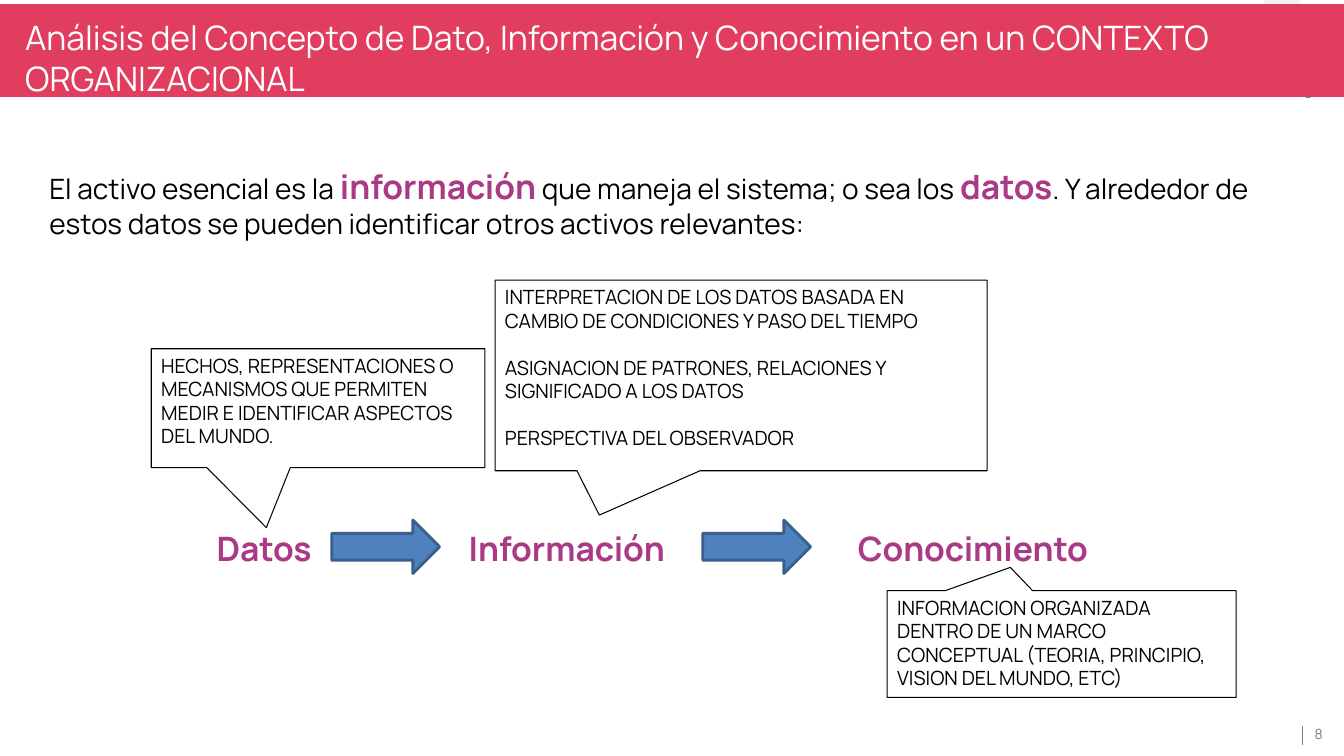
from pptx import Presentation, util as u
from pptx.dml.color import RGBColor
from pptx.enum import shapes, text

PX = 9144
FONT = "Manrope"
COLORS = {
    "band": "E13D5E", "white": "FFFFFF", "black": "000000", "accent": "AA3A86",
    "arrow": "4F81BD", "arrow_edge": "3A5F8C", "grey": "7F7F7F",
    "pale": "F2F2F2", "teal": "32AAAF",
}


def emu(*lengths):
    return [u.Emu(length * PX) for length in lengths]


def color(name):
    return RGBColor.from_string(COLORS[name])


def add_span(para, words, size, tone, bold=False):
    span = para.add_run()
    span.text = words
    span.font.name = FONT
    span.font.size = u.Pt(size)
    span.font.bold = bold
    span.font.color.rgb = color(tone)


def set_frame(frame, inset_x=10, inset_y=5, anchor=text.MSO_ANCHOR.TOP):
    frame.word_wrap = True
    frame.margin_left, frame.margin_right = emu(inset_x, inset_x)
    frame.margin_top, frame.margin_bottom = emu(inset_y, inset_y)
    frame.vertical_anchor = anchor


def add_text(page, box, spans, **frame_options):
    frame = page.shapes.add_textbox(*emu(*box)).text_frame
    set_frame(frame, **frame_options)
    for span in spans:
        add_span(frame.paragraphs[0], *span)
    return frame


def add_block(page, kind, box, fill, edge=None, width=1):
    block = page.shapes.add_shape(kind, *emu(*box))
    block.shadow.inherit = False
    block.fill.solid()
    block.fill.fore_color.rgb = color(fill)
    if edge:
        block.line.color.rgb = color(edge)
        block.line.width = u.Pt(width)
    else:
        block.line.fill.background()
    return block


def add_header(page, box):
    left, top, width, height = box
    preset = shapes.MSO_SHAPE
    add_block(page, preset.RECTANGLE, (left + 1254, 0, 36, top), "pale")
    ray = add_block(page, preset.ROUND_2_SAME_RECTANGLE,
                    (left + 1311, top + 41, 9, 60), "teal")
    ray.adjustments[0] = 0.5
    ray.rotation = 225
    add_block(page, preset.RECTANGLE, box, "band")
    title = ("Análisis del Concepto de Dato, Información y Conocimiento "
             "en un CONTEXTO ORGANIZACIONAL")
    add_text(page, (left + 12, top, 1282, 64), [(title, 24, "white")],
             inset_x=13, inset_y=13)


def add_intro(page, box):
    add_text(page, box, [
        ("El activo esencial es la ", 20, "black"),
        ("información", 24, "accent", True),
        (" que maneja el sistema; o sea los ", 20, "black"),
        ("datos", 24, "accent", True),
        (". Y alrededor de estos datos se pueden identificar otros "
         "activos relevantes:", 20, "black"),
    ])


def add_callout(page, box, tip, notes):
    callout = add_block(page, shapes.MSO_SHAPE.RECTANGULAR_CALLOUT, box,
                        "white", "black", 0.75)
    callout.adjustments[0], callout.adjustments[1] = tip
    frame = callout.text_frame
    set_frame(frame)
    for index, note in enumerate(notes):
        para = frame.add_paragraph() if index else frame.paragraphs[0]
        para.alignment = text.PP_ALIGN.LEFT
        para.space_before = u.Pt(16.8 if index else 0)
        add_span(para, note, 14, "black")


def add_flow(page, box):
    left, top, width, height = box
    for offset, label_width, label in [
        (0, 124, "Datos"), (250, 218, "Información"), (636, 261, "Conocimiento"),
    ]:
        frame = add_text(page, (left + offset, top + 3, label_width, 50),
                         [(label, 24, "accent", True)])
        frame.auto_size = text.MSO_AUTO_SIZE.SHAPE_TO_FIT_TEXT
    for offset in (124, 492):
        add_block(page, shapes.MSO_SHAPE.RIGHT_ARROW,
                  (left + offset, top, 107, height), "arrow", "arrow_edge", 2)


def add_page_number(page, box):
    left, top, width, height = box
    rule = page.shapes.add_connector(
        shapes.MSO_CONNECTOR.STRAIGHT,
        *emu(left, top + 6, left, top + 25))
    rule.line.color.rgb = color("grey")
    rule.line.width = u.Pt(1)
    properties = rule._element.spPr
    properties.append(properties.makeelement(
        "{http://schemas.openxmlformats.org/drawingml/2006/main}effectLst", {}))
    add_text(page, (left + 8, top, width - 8, height), [("8", 10, "grey")],
             inset_x=4, inset_y=4, anchor=text.MSO_ANCHOR.MIDDLE)


def main():
    deck = Presentation()
    deck.slide_width, deck.slide_height = u.Inches(13.33), u.Inches(7.5)
    page = deck.slides.add_slide(deck.slide_layouts[6])
    add_header(page, (0, 4, 1333, 92))
    add_intro(page, (39, 160, 1255, 205))
    add_callout(page, (150, 346, 331, 118), (-0.155, 1.004), [
        "HECHOS, REPRESENTACIONES O MECANISMOS QUE PERMITEN MEDIR E "
        "IDENTIFICAR ASPECTOS DEL MUNDO.",
    ])
    add_callout(page, (491, 278, 488, 189), (-0.288, 0.733), [
        "INTERPRETACION DE LOS DATOS BASADA EN CAMBIO DE CONDICIONES Y "
        "PASO DEL TIEMPO",
        "ASIGNACION DE PATRONES, RELACIONES Y SIGNIFICADO A LOS DATOS",
        "PERSPECTIVA DEL OBSERVADOR",
    ])
    add_callout(page, (880, 586, 346, 106), (-0.147, -0.718), [
        "INFORMACION ORGANIZADA DENTRO DE UN MARCO CONCEPTUAL (TEORIA, "
        "PRINCIPIO, VISION DEL MUNDO, ETC)",
    ])
    add_flow(page, (205, 516, 897, 53))
    add_page_number(page, (1292, 714, 41, 28))
    deck.save("out.pptx")


if __name__ == "__main__":
    main()
